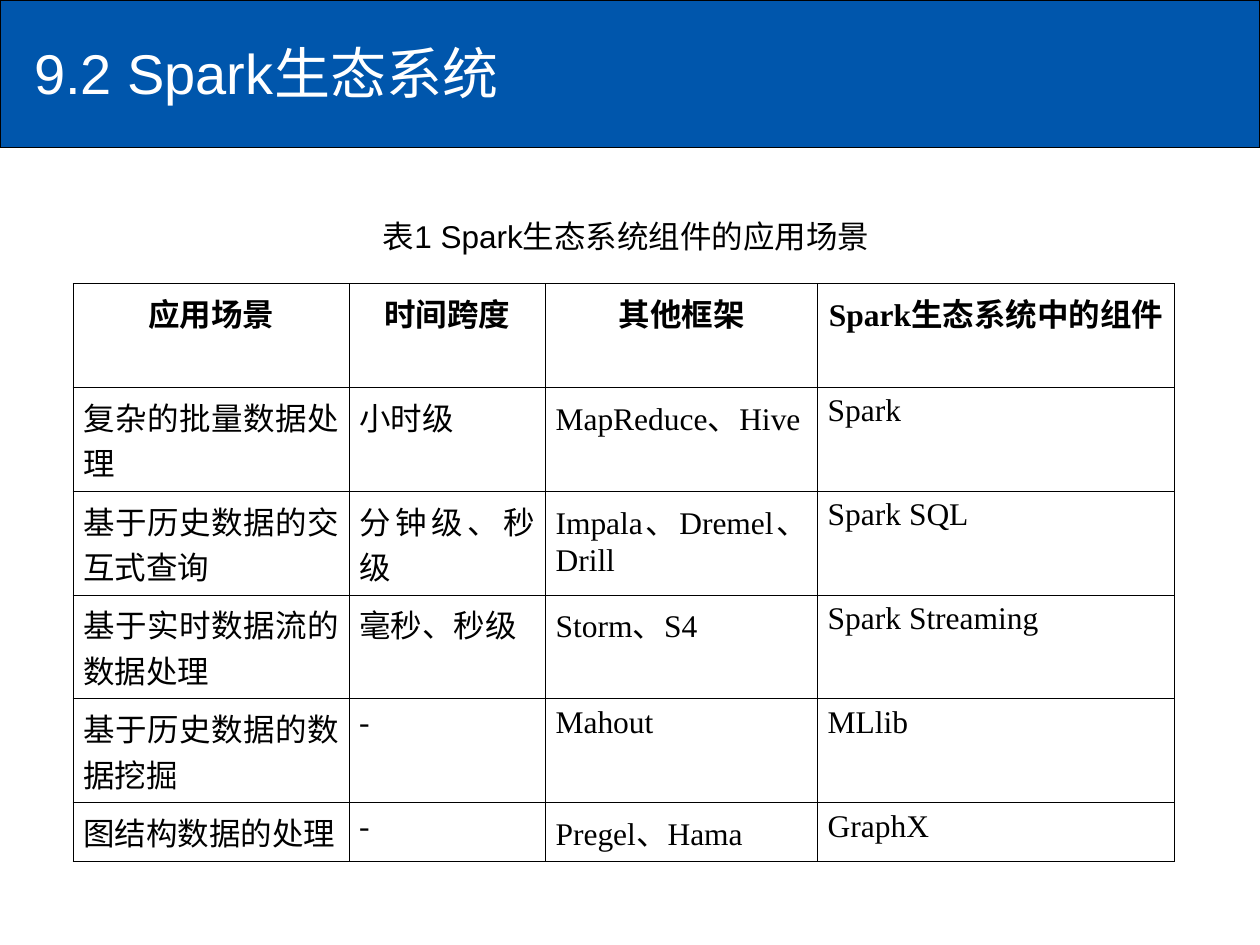
from lxml.etree import SubElement
from pptx import Presentation
from pptx.dml.color import RGBColor
from pptx.enum.shapes import MSO_SHAPE as Preset
from pptx.enum.text import MSO_ANCHOR as Anchor, MSO_AUTO_SIZE as AutoSize, PP_ALIGN as Align
from pptx.oxml.ns import qn
from pptx.util import Inches, Pt

COLUMN_WIDTHS = [2.19, 1.56, 2.16, 2.83]
ROW_HEIGHTS = [0.6] * 5 + [0.3]
SCENARIOS = [
    ["应用场景", "时间跨度", "其他框架", "Spark生态系统中的组件"],
    ["复杂的批量数据处理", "小时级", "MapReduce、Hive", "Spark"],
    ["基于历史数据的交互式查询", "分钟级、秒级", "Impala、Dremel、Drill", "Spark SQL"],
    ["基于实时数据流的数据处理", "毫秒、秒级", "Storm、S4", "Spark Streaming"],
    ["基于历史数据的数据挖掘", "-", "Mahout", "MLlib"],
    ["图结构数据的处理", "-", "Pregel、Hama", "GraphX"],
]


def rgb(value):
    return RGBColor.from_string(value)


def set_all(target, values):
    for name, value in values.items():
        setattr(target, name, value)


class Deck:
    WIDTH, HEIGHT = 10, 7.5
    BLUE, WHITE, BLACK = "0056AC", "FFFFFF", "000000"
    HEADING = {"name": "Arial", "size": Pt(32), "bold": False}
    CAPTION = {"name": "Arial", "size": Pt(18), "bold": False}
    CELL = {"name": "Times New Roman", "size": Pt(18), "bold": False}
    CELL_MARGINS = {
        "margin_left": Inches(0.08), "margin_right": Inches(0.08),
        "margin_top": Inches(0.05), "margin_bottom": Inches(0.05),
    }

    def __init__(self):
        self.presentation = Presentation()
        set_all(self.presentation, {"slide_width": Inches(self.WIDTH),
                                    "slide_height": Inches(self.HEIGHT)})
        self.slide = self.presentation.slides.add_slide(self.presentation.slide_layouts[5])

    def box(self, x, y, w, h):
        """Turn shares of the slide's size into lengths."""
        return [Inches(share * side) for share, side in
                zip((x, y, w, h), (self.WIDTH, self.HEIGHT) * 2)]

    def put_text(self, frame, text, style, color, align=Align.LEFT):
        frame.text = text
        paragraph = frame.paragraphs[0]
        paragraph.alignment = align
        font = paragraph.runs[0].font
        set_all(font, style)
        font.color.rgb = rgb(color)

    def banner(self, *area):
        banner = self.slide.shapes.add_shape(Preset.RECTANGLE, *self.box(*area))
        banner.shadow.inherit = False
        banner.fill.solid()
        banner.fill.fore_color.rgb = rgb(self.BLUE)
        banner.line.color.rgb = rgb(self.BLACK)
        banner.line.width = Pt(0.75)
        # Send behind the title
        self.slide.shapes._spTree.insert(2, banner._element)

    def title(self, text, *area):
        title = self.slide.shapes.title
        set_all(title, dict(zip(("left", "top", "width", "height"), self.box(*area))))
        set_all(title.text_frame, {"vertical_anchor": Anchor.MIDDLE, "word_wrap": True,
                                   "auto_size": AutoSize.NONE})
        self.put_text(title.text_frame, text, self.HEADING, self.WHITE)

    def caption(self, text, *area):
        frame = self.slide.shapes.add_textbox(*self.box(*area)).text_frame
        set_all(frame, {"word_wrap": False, "auto_size": AutoSize.SHAPE_TO_FIT_TEXT})
        self.put_text(frame, text, self.CAPTION, self.BLACK)

    def border(self, cell):
        properties = cell._tc.get_or_add_tcPr()
        for side in ("a:lnL", "a:lnR", "a:lnT", "a:lnB"):
            line = SubElement(properties, qn(side), w=str(Pt(0.45)))
            fill = SubElement(line, qn("a:solidFill"))
            SubElement(fill, qn("a:srgbClr"), val=self.BLACK)

    def table(self, rows, widths, heights, *area):
        table = self.slide.shapes.add_table(len(rows), len(widths), *self.box(*area)).table
        set_all(table, {"first_row": False, "horz_banding": False})
        for column, width in zip(table.columns, widths):
            column.width = Inches(width)
        for row, height in zip(table.rows, heights):
            row.height = Inches(height)
        for r, texts in enumerate(rows):
            header = r == 0
            for c, text in enumerate(texts):
                cell = table.cell(r, c)
                set_all(cell, self.CELL_MARGINS)
                self.border(cell)
                cell.fill.background()
                self.put_text(cell.text_frame, text, {**self.CELL, "bold": header}, self.BLACK,
                              Align.CENTER if header else Align.JUSTIFY)


def main():
    deck = Deck()
    # Heading band
    deck.banner(0, 0, 1, 0.156)
    deck.title("9.2 Spark生态系统", 0.017, 0.01, 0.875, 0.133)
    # Scenario table and its caption
    deck.table(SCENARIOS, COLUMN_WIDTHS, ROW_HEIGHTS, 0.058, 0.3, 0.875, 0.44)
    deck.caption("表1 Spark生态系统组件的应用场景", 0.294, 0.223, 0.418, 0.053)
    deck.presentation.save("out.pptx")


if __name__ == "__main__":
    main()
